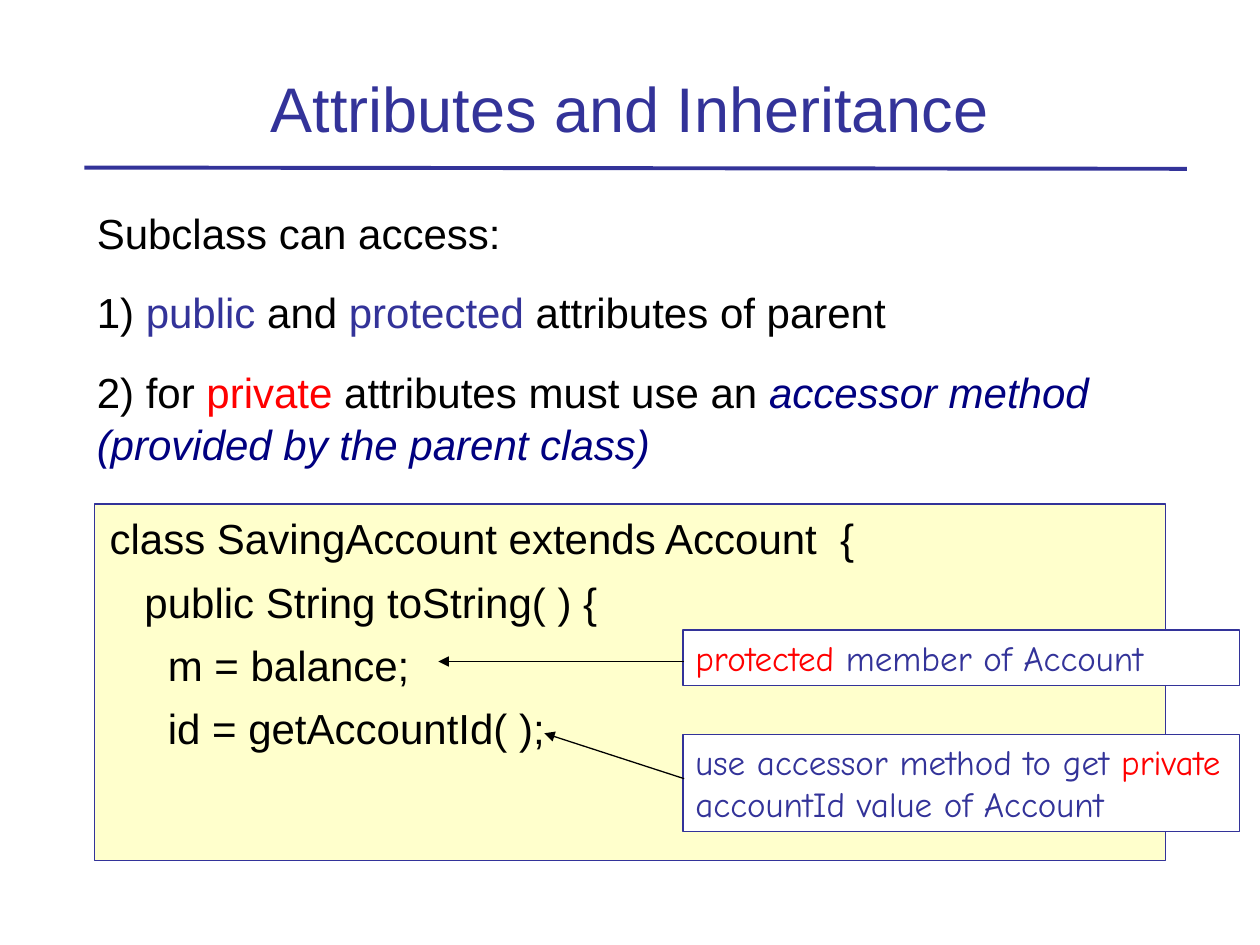
"""Build the slide on attributes and inheritance."""
from dataclasses import dataclass

from lxml.etree import SubElement
from pptx import Presentation
from pptx.dml.color import RGBColor as Rgb
from pptx.enum.shapes import MSO_CONNECTOR as Connector
from pptx.enum.shapes import MSO_SHAPE as Preset
from pptx.enum.text import MSO_ANCHOR as Anchor
from pptx.enum.text import PP_ALIGN as Align
from pptx.oxml.ns import qn
from pptx.util import Inches, Pt


@dataclass(frozen=True)
class Theme:
    """Colours, fonts and type sizes of the slide."""
    blue: str = "333399"
    navy: str = "000080"
    red: str = "FF0000"
    black: str = "000000"
    white: str = "FFFFFF"
    cream: str = "FFFFCC"
    font: str = "Arial"
    note_font: str = "Comic Neue"
    title: int = 36
    body: int = 24
    note: int = 20
    rule: float = 2.25
    thin: float = 0.75


THEME = Theme()


@dataclass(frozen=True)
class Span:
    """A stretch of text in one colour."""
    text: str
    color: str = THEME.black
    italic: bool = False


@dataclass(frozen=True)
class Panel:
    """A block of paragraphs, framed when it has a fill."""
    box: tuple[float, float, float, float]
    paragraphs: list[list[Span]]
    size: int = THEME.body
    font: str = THEME.font
    fill: str | None = None
    gap: float = 0
    leading: float = 1.0
    align: Align = Align.LEFT
    anchor: Anchor = Anchor.TOP
    inset: float = 0.1


@dataclass(frozen=True)
class Stroke:
    """A straight line, with an arrowhead at its end if asked."""
    start: tuple[float, float]
    end: tuple[float, float]
    color: str = THEME.black
    width: float = THEME.thin
    arrow: bool = True


def apply_format(target, values: dict) -> None:
    """Set each named attribute on the target."""
    for name, value in values.items():
        setattr(target, name, value)


def draw_panel(slide, panel: Panel) -> None:
    """Draw a panel and its text."""
    box = [Inches(length) for length in panel.box]
    if panel.fill:
        shape = slide.shapes.add_shape(Preset.RECTANGLE, *box)
        shape.shadow.inherit = False
        shape.fill.solid()
        shape.fill.fore_color.rgb = Rgb.from_string(panel.fill)
        shape.line.color.rgb = Rgb.from_string(THEME.blue)
        shape.line.width = Pt(THEME.thin)
    else:
        shape = slide.shapes.add_textbox(*box)
    frame = shape.text_frame
    apply_format(frame, {
        "word_wrap": True,
        "vertical_anchor": panel.anchor,
        "margin_left": Inches(panel.inset),
        "margin_right": Inches(0.1),
        "margin_top": Inches(0.05),
        "margin_bottom": Inches(0.05),
    })
    for index, spans in enumerate(panel.paragraphs):
        paragraph = frame.add_paragraph() if index else frame.paragraphs[0]
        apply_format(paragraph, {
            "alignment": panel.align,
            "line_spacing": panel.leading,
            "space_before": Pt(panel.gap if index else 0),
        })
        for span in spans:
            run = paragraph.add_run()
            run.text = span.text
            apply_format(run.font, {
                "name": panel.font,
                "size": Pt(panel.size),
                "italic": span.italic,
            })
            run.font.color.rgb = Rgb.from_string(span.color)


def draw_stroke(slide, stroke: Stroke) -> None:
    """Draw a line or an arrow."""
    ends = [Inches(length) for length in (*stroke.start, *stroke.end)]
    connector = slide.shapes.add_connector(Connector.STRAIGHT, *ends)
    connector.line.color.rgb = Rgb.from_string(stroke.color)
    connector.line.width = Pt(stroke.width)
    if stroke.arrow:
        SubElement(connector.line._get_or_add_ln(), qn("a:tailEnd"), type="triangle")
    SubElement(connector._element.spPr, qn("a:effectLst"))


TITLE_RULE = Stroke((0.67, 1.33), (9.42, 1.34), THEME.blue, THEME.rule, arrow=False)

TITLE = Panel(
    (0.67, 0.25, 8.66, 0.95),
    [[Span("Attributes and Inheritance", THEME.blue)]],
    size=THEME.title, align=Align.CENTER, anchor=Anchor.BOTTOM,
)

CODE_LINES = [
    "class SavingAccount extends Account  {",
    "   public String toString( ) {",
    "     m = balance;",
    "     id = getAccountId( );",
]
CODE = Panel(
    (0.75, 4, 8.5, 2.83), [[Span(line)] for line in CODE_LINES],
    fill=THEME.cream, gap=6, leading=1.05, inset=0.12,
)

ACCESS_RULES = Panel(
    (0.67, 1.58, 8.67, 2.12),
    [
        [Span("Subclass can access:")],
        [Span("1) "), Span("public", THEME.blue), Span(" and "),
         Span("protected", THEME.blue), Span(" attributes of parent")],
        [Span("2) for "), Span("private", THEME.red),
         Span(" attributes must use an "),
         Span("accessor method (provided by the parent class)", THEME.navy, True)],
    ],
    gap=15, leading=1.05,
)


def callout(top: float, height: float, spans: list[Span]) -> Panel:
    """Describe a note beside the code."""
    return Panel((5.42, top, 4.42, height), [spans], THEME.note,
                 THEME.note_font, THEME.white)


CALLOUTS = [
    callout(5, 0.44, [Span("protected", THEME.red),
                      Span(" member of Account", THEME.blue)]),
    callout(5.83, 0.77, [Span("use accessor method to get ", THEME.blue),
                         Span("private", THEME.red),
                         Span(" accountId value of Account", THEME.blue)]),
]
ARROWS = [Stroke((5.43, 5.25), (3.48, 5.25)), Stroke((5.43, 6.18), (4.32, 5.82))]


def main() -> None:
    """Build and save the slide."""
    deck = Presentation()
    apply_format(deck, {"slide_width": Inches(10), "slide_height": Inches(7.5)})
    slide = deck.slides.add_slide(deck.slide_layouts[6])
    draw_stroke(slide, TITLE_RULE)
    for panel in (TITLE, CODE, ACCESS_RULES, *CALLOUTS):
        draw_panel(slide, panel)
    for arrow in ARROWS:
        draw_stroke(slide, arrow)
    deck.save("out.pptx")


if __name__ == "__main__":
    main()
